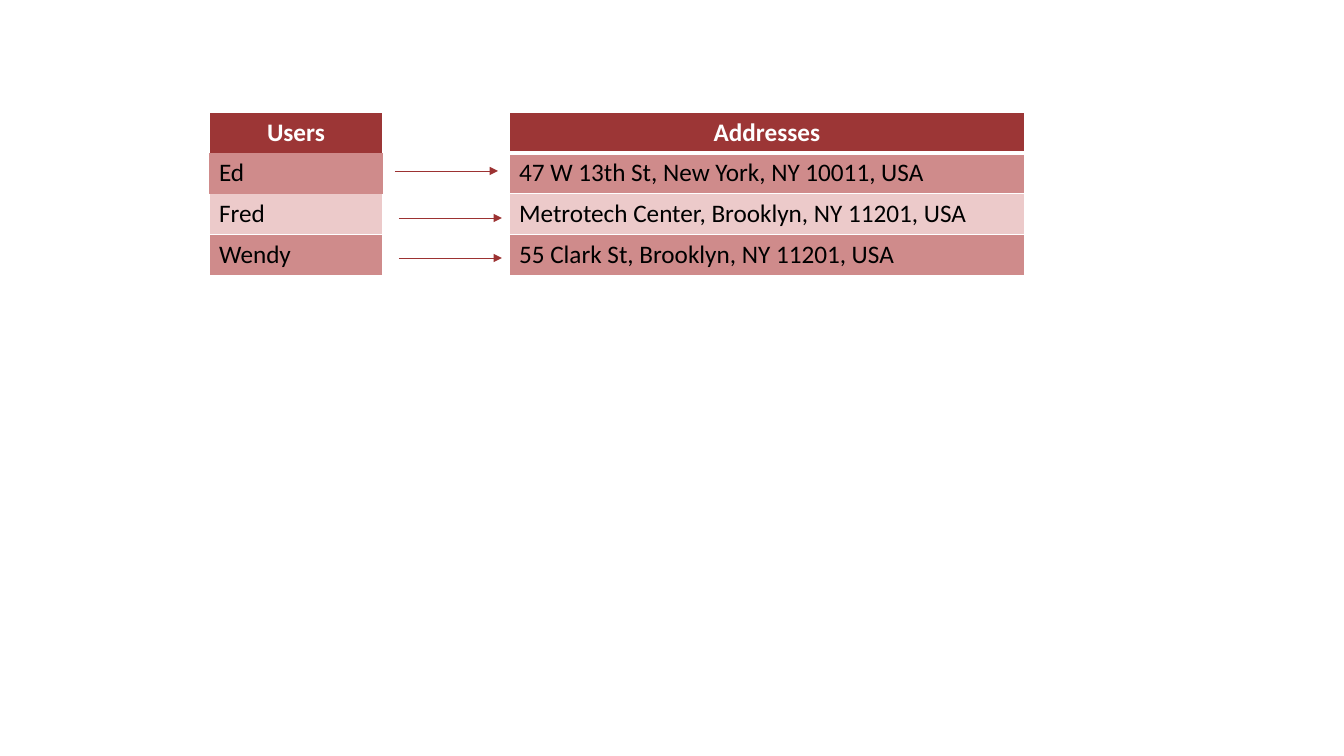
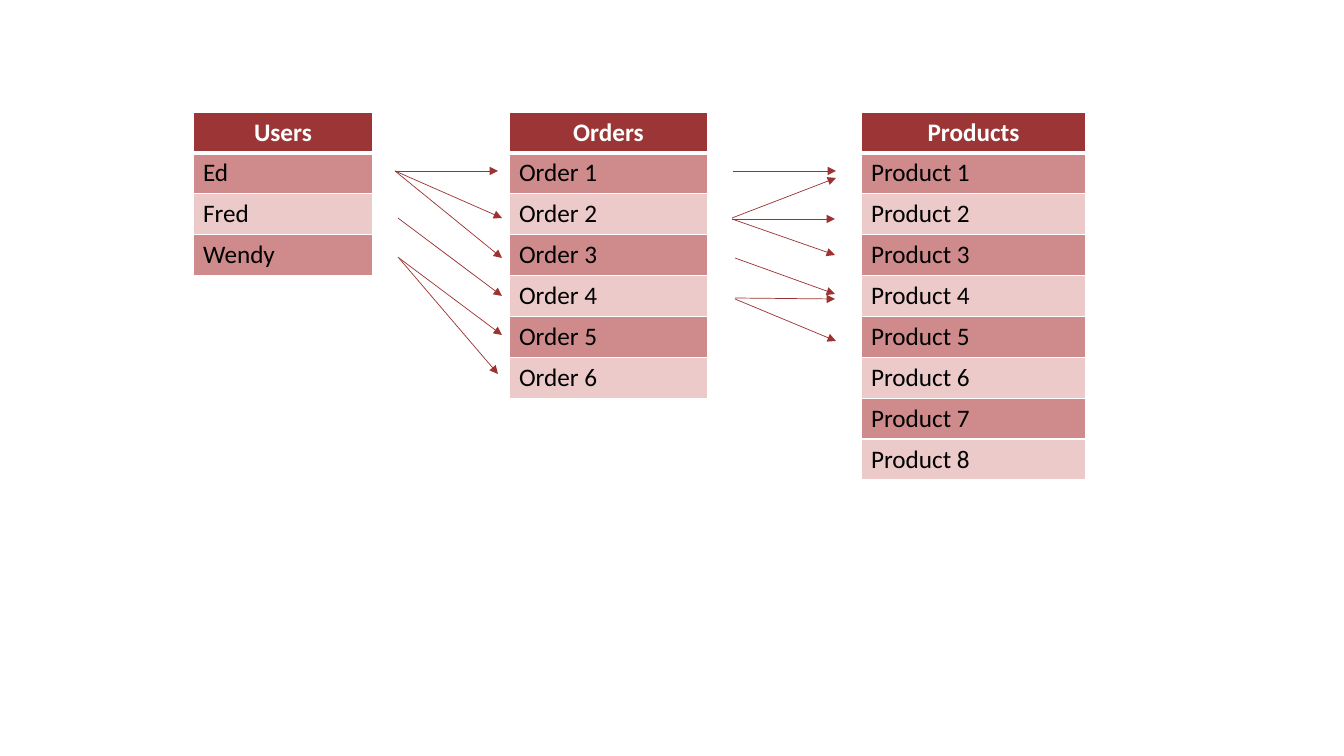
"""Build two slides that map users to addresses and users to orders to products."""
from lxml.etree import SubElement
from pptx import Presentation
from pptx.dml.color import RGBColor
from pptx.enum.shapes import MSO_CONNECTOR as Connector
from pptx.enum.text import PP_ALIGN as Align
from pptx.oxml.ns import qn
from pptx.util import Emu, Pt

USERS = ["Users", "Ed", "Fred", "Wendy"]
ADDRESSES = [
    "Addresses",
    "47 W 13th St, New York, NY 10011, USA",
    "Metrotech Center, Brooklyn, NY 11201, USA",
    "55 Clark St, Brooklyn, NY 11201, USA",
]
ORDERS = ["Orders"] + [f"Order {number}" for number in range(1, 7)]
PRODUCTS = ["Products"] + [f"Product {number}" for number in range(1, 9)]
OPEN_SIDES = ["LRT", "", "LRB", "LRTB"]

SLIDES = [
    {
        "tables": [(209, 174, USERS, OPEN_SIDES), (509, 516, ADDRESSES, None)],
        "arrows": [(395, 171, 498, 171), (399, 218, 502, 218), (399, 258, 502, 258)],
    },
    {
        "tables": [
            (193, 180, USERS, None),
            (509, 199, ORDERS, None),
            (861, 225, PRODUCTS, None),
        ],
        "arrows": [
            (395, 171, 498, 171),
            (395, 171, 502, 218),
            (395, 171, 502, 258),
            (398, 218, 502, 296),
            (399, 258, 502, 335),
            (398, 257, 498, 374),
            (733, 171, 836, 171),
            (732, 218, 836, 178),
            (732, 219, 835, 219),
            (732, 219, 835, 255),
            (735, 258, 835, 294),
            (735, 298, 835, 299),
            (735, 299, 836, 341),
        ],
    },
]

SCALE = 12192000 / 1344
TABLE_TOP, ROW_HEIGHT = 112, 40.8
PLAIN_STYLE = "{2D5ABB26-0587-4C30-8999-92F81FD0307C}"
WHITE, BLACK, ARROW = "FFFFFF", "000000", "9C3232"
HEADER_FILL, BAND_FILLS = "9C3636", ("CF8B8B", "ECCACA")
HEADER_FONT = {"name": "Calibri", "size": Pt(18), "bold": True}
BODY_FONT = {**HEADER_FONT, "bold": False}


def pixels(value):
    """Turn pixels into EMU."""
    return Emu(round(value * SCALE))


def colour(text):
    """Turn a hex string into a colour."""
    return RGBColor.from_string(text)


def add_borders(cell, sides, widths):
    """Draw white borders on the named sides of a cell."""
    properties = cell._tc.get_or_add_tcPr()
    for side in sides:
        line = SubElement(properties, qn(f"a:ln{side}"), w=str(Pt(widths.get(side, 1))))
        fill = SubElement(line, qn("a:solidFill"))
        SubElement(fill, qn("a:srgbClr"), val=WHITE)


def format_cell(cell, text, row, sides):
    """Write and format one cell as a header or a banded row."""
    header = row == 0
    cell.text = text
    add_borders(cell, sides, {"B": 3} if header else {"T": 3} if row == 1 else {})
    cell.fill.solid()
    cell.fill.fore_color.rgb = colour(HEADER_FILL if header else BAND_FILLS[(row - 1) % 2])
    paragraph = cell.text_frame.paragraphs[0]
    paragraph.alignment = Align.CENTER if header else Align.LEFT
    font = paragraph.runs[0].font
    for name, value in (HEADER_FONT if header else BODY_FONT).items():
        setattr(font, name, value)
    font.color.rgb = colour(WHITE if header else BLACK)


def add_list_table(slide, left, width, texts, sides):
    """Add a one-column table with a header."""
    box = map(pixels, (left, TABLE_TOP, width, ROW_HEIGHT * len(texts)))
    frame = slide.shapes.add_table(len(texts), 1, *box)
    table = frame.table
    table.first_row = table.horz_banding = False
    for style in frame._element.iter(qn("a:tableStyleId")):
        style.text = PLAIN_STYLE
    for row, text in enumerate(texts):
        table.rows[row].height = pixels(ROW_HEIGHT)
        format_cell(table.cell(row, 0), text, row, sides[row] if sides else "LRTB")


def add_arrow(slide, points):
    """Add a thin arrow without a shadow."""
    connector = slide.shapes.add_connector(Connector.STRAIGHT, *map(pixels, points))
    connector.line.color.rgb = colour(ARROW)
    connector.line.width = Pt(0.5)
    SubElement(connector.line._get_or_add_ln(), qn("a:tailEnd"), type="triangle")
    SubElement(connector._element.spPr, qn("a:effectLst"))


presentation = Presentation()
presentation.slide_width, presentation.slide_height = pixels(1344), pixels(756)
for content in SLIDES:
    slide = presentation.slides.add_slide(presentation.slide_layouts[6])
    for table_content in content["tables"]:
        add_list_table(slide, *table_content)
    for points in content["arrows"]:
        add_arrow(slide, points)
presentation.save("out.pptx")
